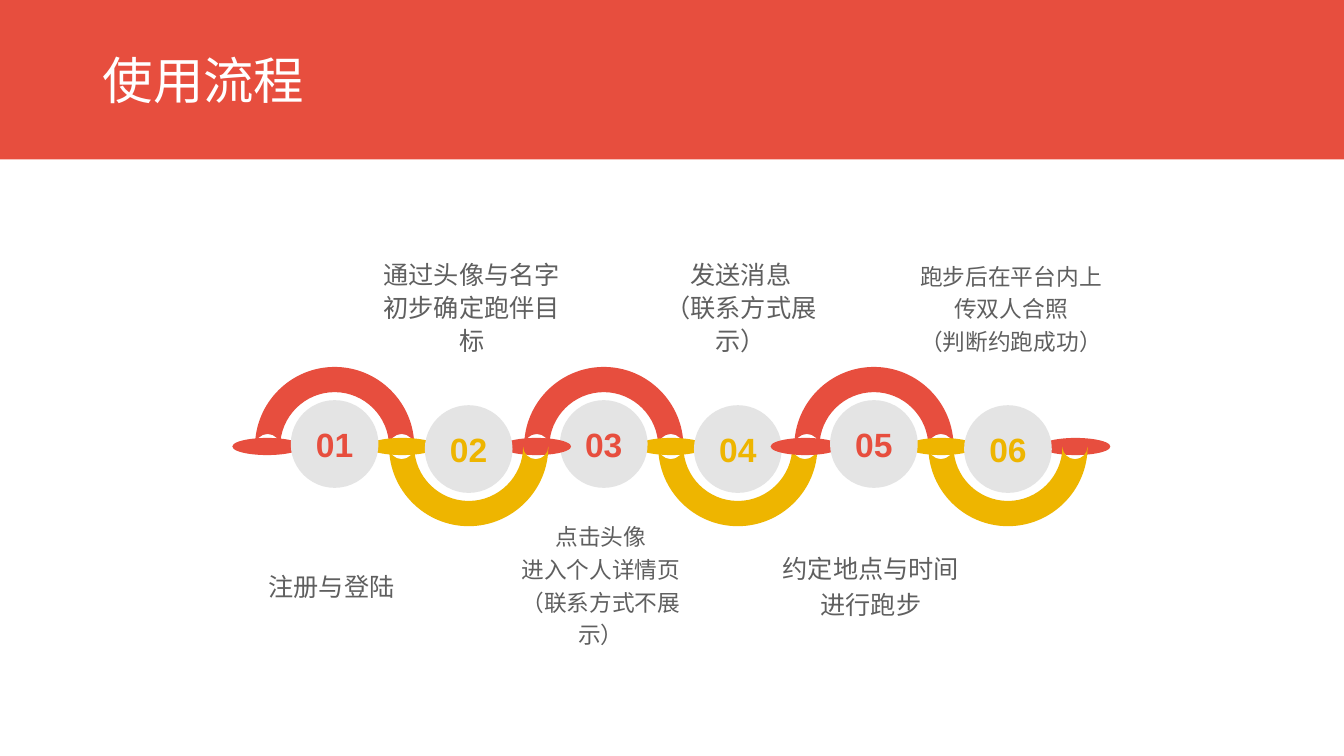
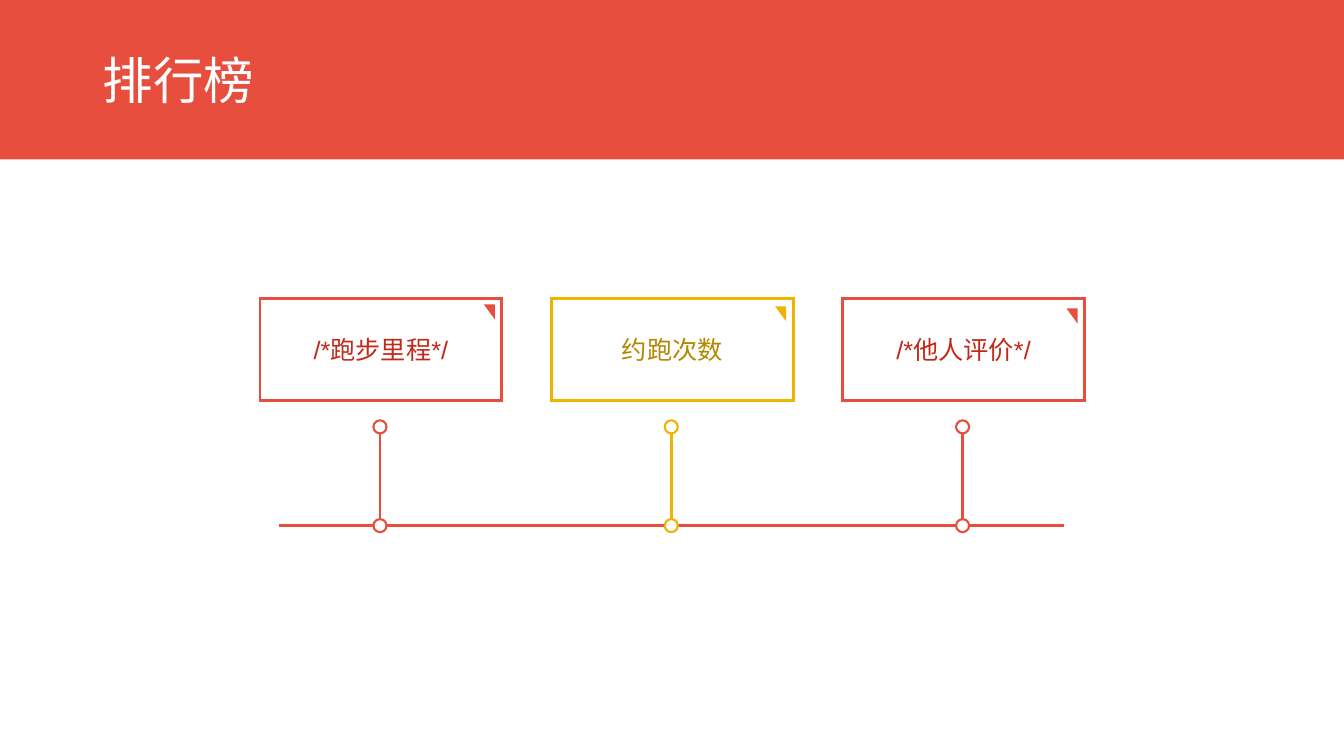
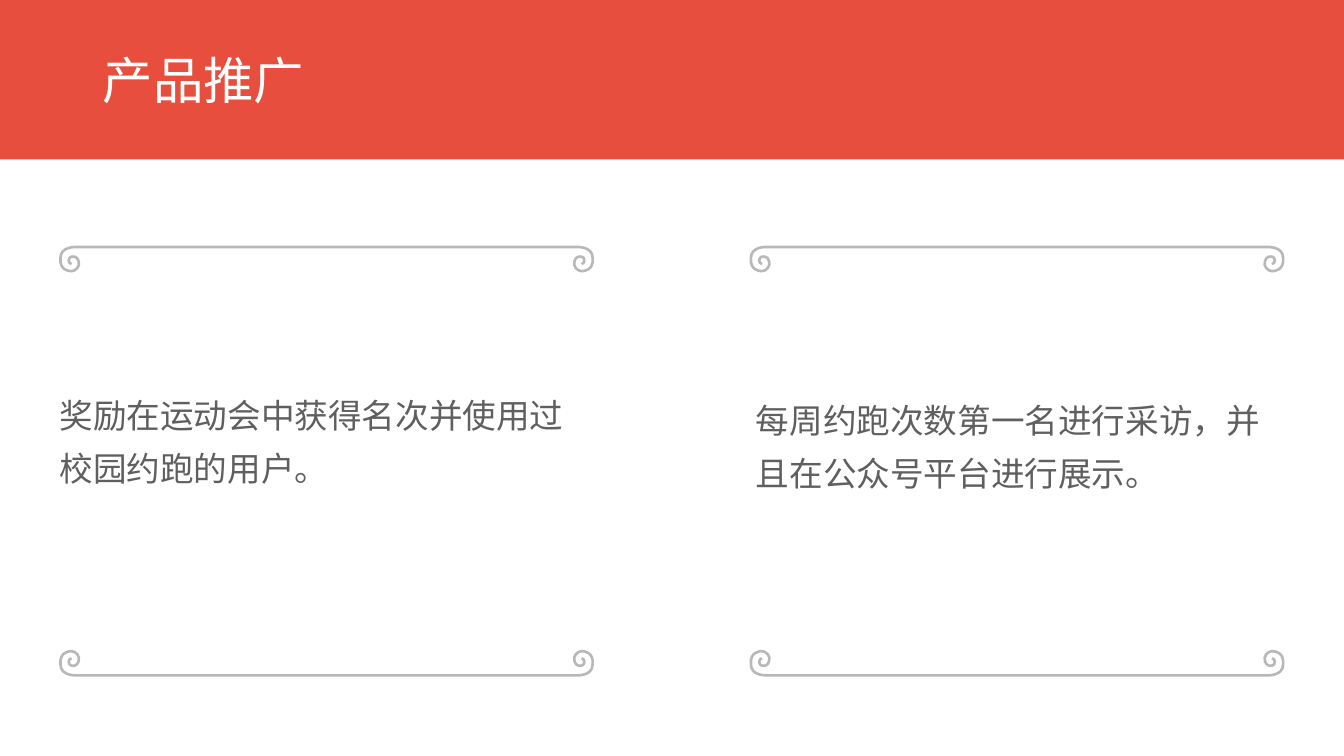
import pptx
import pptx.dml.color
import pptx.enum.shapes
import pptx.enum.text
import pptx.oxml
import pptx.oxml.ns
import pptx.util

Inches = pptx.util.Inches
Pt = pptx.util.Pt
RGBColor = pptx.dml.color.RGBColor
SHAPE = pptx.enum.shapes.MSO_SHAPE
CONNECTOR = pptx.enum.shapes.MSO_CONNECTOR
ALIGN = pptx.enum.text.PP_ALIGN
ANCHOR = pptx.enum.text.MSO_ANCHOR

RED = RGBColor(0xE7, 0x4E, 0x3E)
DARK_RED = RGBColor(0xC3, 0x29, 0x18)
YELLOW = RGBColor(0xEE, 0xB5, 0x00)
DARK_YELLOW = RGBColor(0xB2, 0x88, 0x00)
WHITE = RGBColor(0xFF, 0xFF, 0xFF)
DISC_GRAY = RGBColor(0xE4, 0xE4, 0xE4)
SCROLL_GRAY = RGBColor(0xB8, 0xB8, 0xB8)
TEXT_GRAY = RGBColor(0x5F, 0x5F, 0x5F)

FONT_NAME = "Arial"
SLIDE_WIDTH, SLIDE_HEIGHT = 40 / 3, 7.5
NAMESPACE = 'xmlns:a="http://schemas.openxmlformats.org/drawingml/2006/main"'


def make_element(name, attributes=""):
    return pptx.oxml.parse_xml(f"<a:{name} {NAMESPACE} {attributes}/>")


def set_values(target, values):
    for name, value in values.items():
        setattr(target, name, value)


def set_text(shape, lines, size, color, bold=False, align=ALIGN.CENTER, spacing=1.0, inset=None):
    frame = shape.text_frame
    set_values(frame, {"word_wrap": True, "vertical_anchor": ANCHOR.MIDDLE})
    if inset is not None:
        margins = ("margin_left", "margin_top", "margin_right", "margin_bottom")
        set_values(frame, dict.fromkeys(margins, Inches(inset)))
    for index, line in enumerate(lines):
        paragraph = frame.paragraphs[0] if index == 0 else frame.add_paragraph()
        set_values(paragraph, {"alignment": align, "line_spacing": spacing})
        run = paragraph.add_run()
        run.text = line
        set_values(run.font, {"name": FONT_NAME, "size": Pt(size), "bold": bold})
        run.font.color.rgb = color


def add_text(slide, box, lines, size, color, **text_format):
    shape = slide.shapes.add_textbox(*map(Inches, box))
    set_text(shape, lines, size, color, **text_format)


def paint(shape, fill=None, line=None, width=1):
    shape.shadow.inherit = False
    if fill is None:
        shape.fill.background()
    else:
        shape.fill.solid()
        shape.fill.fore_color.rgb = fill
    if line is None:
        shape.line.fill.background()
    else:
        shape.line.color.rgb = line
        shape.line.width = Pt(width)


def add_shape(slide, kind, box, **colors):
    shape = slide.shapes.add_shape(kind, *map(Inches, box))
    paint(shape, **colors)
    return shape


def add_curved_outline(slide, points, close, **colors):
    corners = [(Inches(x), Inches(y)) for x, y in points]
    builder = slide.shapes.build_freeform(*corners[0])
    builder.add_line_segments(corners[1:], close=close)
    shape = builder.convert_to_shape()
    segments = list(shape._element.iter(pptx.oxml.ns.qn("a:lnTo")))
    for first in range(0, len(segments), 3):
        curve = make_element("cubicBezTo")
        segments[first].addprevious(curve)
        for segment in segments[first:first + 3]:
            curve.append(segment[0])
            segment.getparent().remove(segment)
    paint(shape, **colors)


def add_line(slide, start, end, color):
    connector = slide.shapes.add_connector(CONNECTOR.STRAIGHT, *map(Inches, start + end))
    connector.line.color.rgb = color
    connector.line.width = Pt(2)
    connector._element.spPr.append(make_element("effectLst"))


def add_titled_slide(presentation, title):
    slide = presentation.slides.add_slide(presentation.slide_layouts[6])
    add_shape(slide, SHAPE.RECTANGLE, (0, -0.01, SLIDE_WIDTH, 1.59), fill=RED)
    add_text(slide, (0.92, 0.35, 11.5, 0.96), [title], 36, WHITE, align=ALIGN.LEFT, spacing=0.9)
    return slide


def half_circle(center_x, base_y, radius, direction, side):
    pull = 0.55
    unit = [(-1, 0), (-1, pull), (-pull, 1), (0, 1), (pull, 1), (1, pull), (1, 0)]
    return [(center_x + direction * radius * x, base_y - side * radius * y) for x, y in unit]


def add_arch(slide, center_x, base_y, side, color):
    outer, inner = 0.79, 0.54
    middle, notch = (outer + inner) / 2, (outer - inner) / 2
    points = half_circle(center_x, base_y, outer, 1, side)
    for offset, radius in ((middle, notch), (0, inner), (-middle, notch)):
        points += half_circle(center_x + offset, base_y, radius, -1, side)[1:]
    add_curved_outline(slide, points, True, fill=color)


def add_link(slide, center_x, center_y, color):
    width, height = 0.69, 0.17
    box = (center_x - width / 2, center_y - height / 2, width, height)
    add_shape(slide, SHAPE.OVAL, box, fill=color)


def add_disc(slide, center_x, center_y, side, number, color):
    size = 0.87
    box = (center_x - size / 2, center_y - 0.025 * side - size / 2, size, size)
    disc = add_shape(slide, SHAPE.OVAL, box, fill=DISC_GRAY)
    set_text(disc, [f"{number:02d}"], 24, color, bold=True, inset=0)


def add_step_label(slide, center_x, side, lines, size, spacing):
    width, height = 2.16, 1.11
    left = center_x - 0.03 * side - width / 2
    top = 5.23 if side > 0 else 2.48
    add_text(slide, (left, top, width, height), lines, size, TEXT_GRAY, spacing=spacing)


def build_process_slide(presentation):
    slide = add_titled_slide(presentation, "使用流程")
    center_y, link_offset = 4.43, 0.67
    steps = [
        (1, 3.32, ["注册与登陆"], 18, 1.2, ("arch", "link", "disc")),
        (3, 5.99, ["点击头像", "进入个人详情页", "（联系方式不展示）"], 16.2, 1.2, ("arch", "link", "disc")),
        (2, 4.65, ["通过头像与名字初步确定跑伴目标"], 18, 1.1, ("link", "arch", "disc")),
        (4, 7.32, ["发送消息", "（联系方式展示）"], 18, 1.1, ("arch", "disc", "link")),
        (5, 8.67, ["约定地点与时间", "进行跑步"], 18, 1.2, ("arch", "link", "disc")),
        (6, 10, ["跑步后在平台内上传双人合照", "（判断约跑成功）"], 16.2, 1.2, ("link", "arch", "disc")),
    ]
    add_link(slide, steps[0][1] - link_offset, center_y, RED)
    for number, center_x, lines, size, spacing, layers in steps:
        side, color, link_color = (1, RED, YELLOW) if number % 2 else (-1, YELLOW, RED)
        for layer in layers:
            if layer == "arch":
                add_arch(slide, center_x, center_y, side, color)
            elif layer == "link":
                add_link(slide, center_x + link_offset, center_y, link_color)
            else:
                add_disc(slide, center_x, center_y, side, number, color)
        add_step_label(slide, center_x, side, lines, size, spacing)


def add_ranking_card(slide, left, top, label, color, text_color, flag_drop):
    card = add_shape(slide, SHAPE.RECTANGLE, (left, top, 2.4, 1.01), line=color, width=2)
    card.line._get_or_add_ln().append(make_element("miter", 'lim="800000"'))
    set_text(card, [label], 18, text_color, inset=0)
    flag_box = (left + 2.22, top + flag_drop, 0.11, 0.15)
    flag = add_shape(slide, SHAPE.RIGHT_TRIANGLE, flag_box, fill=color)
    flag.rotation = 180
    stem_x = left + 1.19
    add_line(slide, (stem_x, top + 1.25), (stem_x, top + 2.32), color)
    for dot_top in (top + 2.19, top + 1.21):
        dot_box = (stem_x - 0.065, dot_top, 0.13, 0.13)
        add_shape(slide, SHAPE.OVAL, dot_box, fill=WHITE, line=color, width=1.5)


def build_ranking_slide(presentation):
    slide = add_titled_slide(presentation, "排行榜")
    add_line(slide, (2.77, 5.21), (10.56, 5.21), RED)
    cards = [
        ("/*跑步里程*/", RED, DARK_RED),
        ("约跑次数", YELLOW, DARK_YELLOW),
        ("/*他人评价*/", RED, DARK_RED),
    ]
    for index, (label, color, text_color) in enumerate(cards):
        left, flag_drop = 2.58 + 2.89 * index, 0.06 + 0.02 * index
        add_ranking_card(slide, left, 2.96, label, color, text_color, flag_drop)


def add_scroll(slide, left, top, width, curls_down):
    height = 0.25
    curl = [
        (0.12, 0.07),
        (0.08, 0.08), (0.09, 0.13), (0.11, 0.14),
        (0.13, 0.15), (0.18, 0.15), (0.19, 0.10),
        (0.21, 0.05), (0.16, 0), (0.12, 0),
        (0.09, 0), (0, 0.01), (0.01, 0.13),
        (0.01, 0.25), (0.17, 0.24), (0.17, 0.24),
    ]
    mirrored = [(width - x, y) for x, y in reversed(curl)]
    outline = curl + [curl[-1], mirrored[0]] + mirrored
    points = [(left + x, top + (height - y if curls_down else y)) for x, y in outline]
    add_curved_outline(slide, points, False, line=SCROLL_GRAY, width=1.88)


def add_promotion_panel(slide, left, width, text, text_box):
    add_text(slide, text_box, [text], 24, TEXT_GRAY, align=ALIGN.LEFT, spacing=1.3, inset=0)
    add_scroll(slide, left, 6.46, width, False)
    add_scroll(slide, left, 2.44, width, True)


def build_promotion_slide(presentation):
    slide = add_titled_slide(presentation, "产品推广")
    width = 5.3
    panels = [
        (0.59, "奖励在运动会中获得名次并使用过校园约跑的用户。", (0.59, 2.96, width, 2.72)),
        (7.44, "每周约跑次数第一名进行采访，并且在公众号平台进行展示。", (7.5, 2.54, width, 3.66)),
    ]
    for left, text, text_box in panels:
        add_promotion_panel(slide, left, width, text, text_box)


def main():
    presentation = pptx.Presentation()
    size = {"slide_width": Inches(SLIDE_WIDTH), "slide_height": Inches(SLIDE_HEIGHT)}
    set_values(presentation, size)
    build_process_slide(presentation)
    build_ranking_slide(presentation)
    build_promotion_slide(presentation)
    presentation.save("out.pptx")


main()
